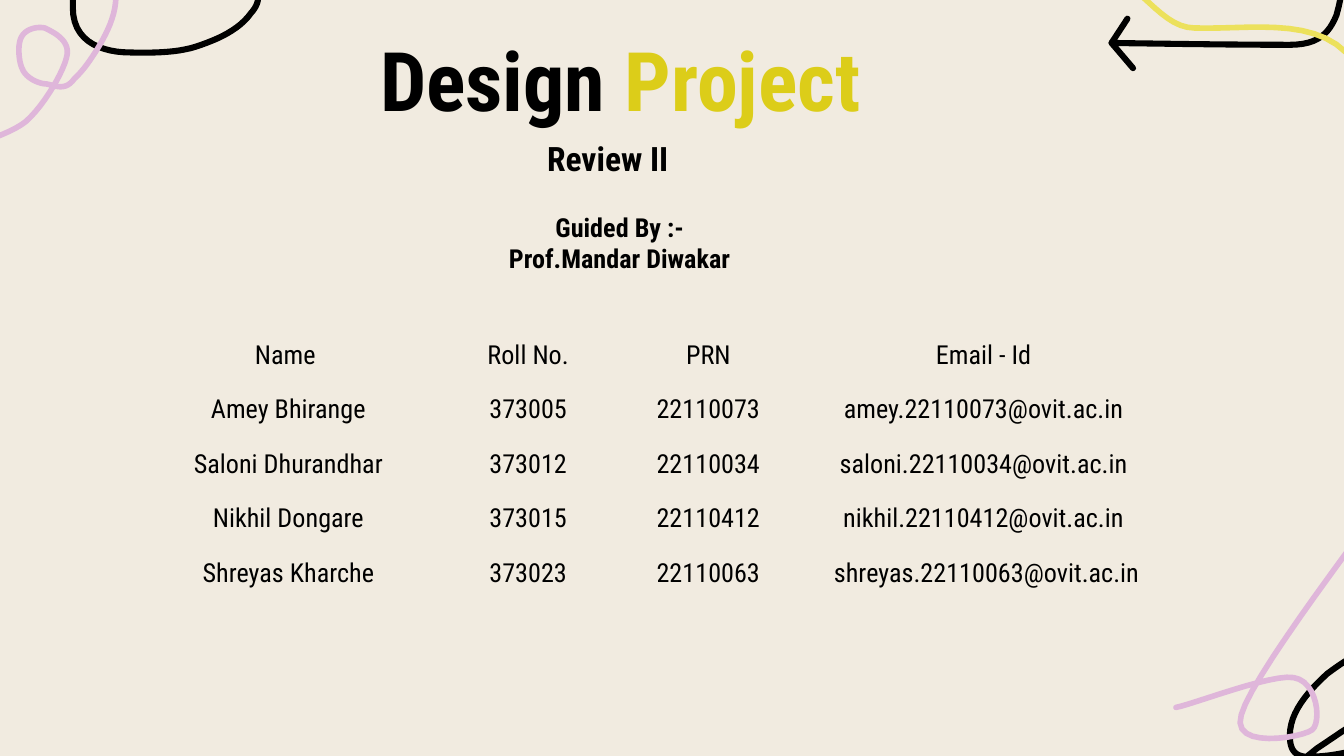
import pptx
import pptx.dml.color
import pptx.enum.text
import pptx.oxml
import pptx.util

Pt = pptx.util.Pt
ALIGN = pptx.enum.text.PP_ALIGN

BLACK, PINK, YELLOW, GOLD, CREAM = "000000", "DFB6DA", "ECE15C", "DCCD19", "F1EBE0"
PLAIN_TABLE_STYLE = "{2D5ABB26-0587-4C30-8999-92F81FD0307C}"

# Each curve is a start point followed by triples: two controls and an end.
ARROW_CURVE = [
    (662, -144), (668, -120), (675, -98), (679, -75), (682, -58), (684, -40), (684, -25),
    (684, -21), (683, -18), (681, -13), (679, -11), (677, -11), (675, -14),
    (670, -19), (668, -26), (668, -32), (669, -45), (673, -56), (679, -67),
    (680, -72), (684, -76), (691, -73), (698, -72), (706, -64), (711, -54),
    (716, -41), (719, -27), (719, -12), (719, -2), (717, 4), (716, 8),
    (712, 18), (706, 24), (691, 24), (660, 24), (628, 23.5), (595.5, 23)]
ARROW_HEAD = [(604, 10), (595.5, 23), (607, 36.5)]
CORNER_LOOP = [
    (816, 435.5), (803, 409), (790, 384), (777.5, 360), (772, 347), (765, 340), (756, 340),
    (744, 340), (724, 351), (711, 361), (700, 371), (691, 382), (691, 394),
    (691, 401), (693, 405), (700, 405.5), (716, 405.5), (734, 401), (743, 394.5),
    (749, 389), (751, 387), (751, 383), (750, 378), (745, 377), (738, 381),
    (727, 386), (716, 394), (705.5, 401), (688, 415), (666, 435), (645, 454.5)]
TOP_LOOP = [
    (209, -25), (187, -19), (160, -12), (135, -9), (119, -7), (100, -5), (86, -5.5),
    (80, -6), (75, -9), (75, -13), (76, -18), (84, -20.5), (94, -20.5),
    (108, -20), (122, -15), (135, -9), (140, -4), (139, 2), (134.5, 7),
    (128, 16), (117, 21), (105, 25), (94, 28.5), (79, 28.5), (66, 28),
    (52, 27), (39, 21), (39, 4), (39, -20), (42, -70), (43, -95.5)]
PINK_CORNER = [
    (630, 379), (640, 377), (681, 361), (693, 363), (706, 365), (708, 387), (703, 391),
    (698, 395), (659, 402), (665, 383), (670, 364), (721, 297), (736, 276),
    (750, 254), (750, 256), (752, 252)]
PINK_TOP = [
    (-22, 80), (-17, 78), (4, 73), (14, 65), (24, 56), (35, 37), (36, 29),
    (37, 21), (28, 17), (24, 15), (19, 14), (14, 16), (12, 19),
    (9, 23), (10, 33), (12, 37), (14, 42), (21, 45), (25, 45),
    (30, 46), (35, 49), (40, 42), (46, 37), (57, 20), (60, 10),
    (64, -1), (61, -12), (62, -19), (63, -26), (63, -31), (63, -34)]
YELLOW_WAVE = [
    (771, 62), (759, 61), (744, 62), (736, 53), (730, 45), (729, 35), (721, 28),
    (702, 9), (667, 16), (640, 15), (624, 15), (614, -4), (599, -11)]

STUDENTS = [
    ("Name ", "Roll No.", "PRN", "Email - Id"),
    ("Amey Bhirange", "373005", "22110073", "amey.22110073@ovit.ac.in"),
    ("Saloni Dhurandhar", "373012", "22110034", "saloni.22110034@ovit.ac.in"),
    ("Nikhil Dongare", "373015", "22110412", "nikhil.22110412@ovit.ac.in"),
    ("Shreyas Kharche", "373023", "22110063", " shreyas.22110063@ovit.ac.in"),
]


def color(hex_string):
    return pptx.dml.color.RGBColor.from_string(hex_string)


def bezier_points(nodes, steps=12):
    """Sample a chain of cubic curves."""
    points = [nodes[0]]
    for first in range(0, len(nodes) - 1, 3):
        segment = nodes[first:first + 4]
        for step in range(1, steps + 1):
            t = step / steps
            weights = ((1 - t) ** 3, 3 * t * (1 - t) ** 2, 3 * t * t * (1 - t), t ** 3)
            points.append(tuple(sum(w * node[axis] for w, node in zip(weights, segment))
                                for axis in (0, 1)))
    return points


class SlideWriter:
    """Holds the font and the slide being filled."""

    def __init__(self, slide, font_name):
        self.slide = slide
        self.font_name = font_name

    def add_runs(self, paragraph, runs, align=ALIGN.LEFT, **formats):
        """Fill a paragraph with (text, hex colour) runs."""
        paragraph.alignment = align
        for text, hex_string in runs:
            run = paragraph.add_run()
            run.text = text
            for name, value in {"name": self.font_name, **formats}.items():
                setattr(run.font, name, value)
            run.font.color.rgb = color(hex_string)

    def add_text(self, box, paragraphs, size, align=ALIGN.LEFT):
        frame = self.slide.shapes.add_textbox(*map(Pt, box)).text_frame
        frame.word_wrap = True
        for index, runs in enumerate(paragraphs):
            paragraph = frame.add_paragraph() if index else frame.paragraphs[0]
            self.add_runs(paragraph, runs, align, size=Pt(size), bold=True)

    def add_stroke(self, points, hex_string, width):
        """Draw an open line with round ends."""
        points = [(Pt(x), Pt(y)) for x, y in points]
        builder = self.slide.shapes.build_freeform(*points[0])
        builder.add_line_segments(points[1:], close=False)
        shape = builder.convert_to_shape()
        shape.shadow.inherit = False
        shape.fill.background()
        shape.line.color.rgb = color(hex_string)
        shape.line.width = Pt(width)
        line = shape.line._get_or_add_ln()
        line.set("cap", "rnd")
        line.append(pptx.oxml.parse_xml(
            '<a:round xmlns:a="http://schemas.openxmlformats.org/drawingml/2006/main"/>'))

    def add_curve(self, nodes, hex_string, width):
        self.add_stroke(bezier_points(nodes), hex_string, width)

    def add_table(self, left, top, column_widths, row_height, rows):
        frame = self.slide.shapes.add_table(
            len(rows), len(column_widths), Pt(left), Pt(top),
            Pt(sum(column_widths)), Pt(row_height * len(rows)))
        table = frame.table
        table._tbl.tblPr.find(pptx.oxml.ns.qn("a:tableStyleId")).text = PLAIN_TABLE_STYLE
        table.first_row = table.horz_banding = False
        for column, width in zip(table.columns, column_widths):
            column.width = Pt(width)
        for row, texts in zip(table.rows, rows):
            row.height = Pt(row_height)
            for cell, text in zip(row.cells, texts):
                cell.fill.background()
                self.add_runs(cell.text_frame.paragraphs[0], [(text, BLACK)],
                              ALIGN.CENTER, size=Pt(14))


def main():
    presentation = pptx.Presentation()
    presentation.slide_width, presentation.slide_height = Pt(720), Pt(405)
    slide = presentation.slides.add_slide(presentation.slide_layouts[6])
    slide.background.fill.solid()
    slide.background.fill.fore_color.rgb = color(CREAM)
    writer = SlideWriter(slide, "Roboto Condensed")

    writer.add_stroke(ARROW_HEAD, BLACK, 3.25)
    for nodes in (ARROW_CURVE, CORNER_LOOP, TOP_LOOP):
        writer.add_curve(nodes, BLACK, 3.25)
    for nodes, hex_string in ((PINK_CORNER, PINK), (PINK_TOP, PINK), (YELLOW_WAVE, YELLOW)):
        writer.add_curve(nodes, hex_string, 3)

    writer.add_table(79, 178.5, (151, 106, 87, 208), 29.2, STUDENTS)
    writer.add_text((196.5, 12.2, 327.5, 60.5), [[("Design ", BLACK), ("Project", GOLD)]], 44)
    writer.add_text((286, 70.5, 92, 29), [[("Review II", BLACK)]], 18)
    writer.add_text((226, 109.5, 212, 41),
                    [[("Guided By :-", BLACK)], [("Prof.Mandar Diwakar", BLACK)]],
                    14, ALIGN.CENTER)
    presentation.save("out.pptx")


if __name__ == "__main__":
    main()
